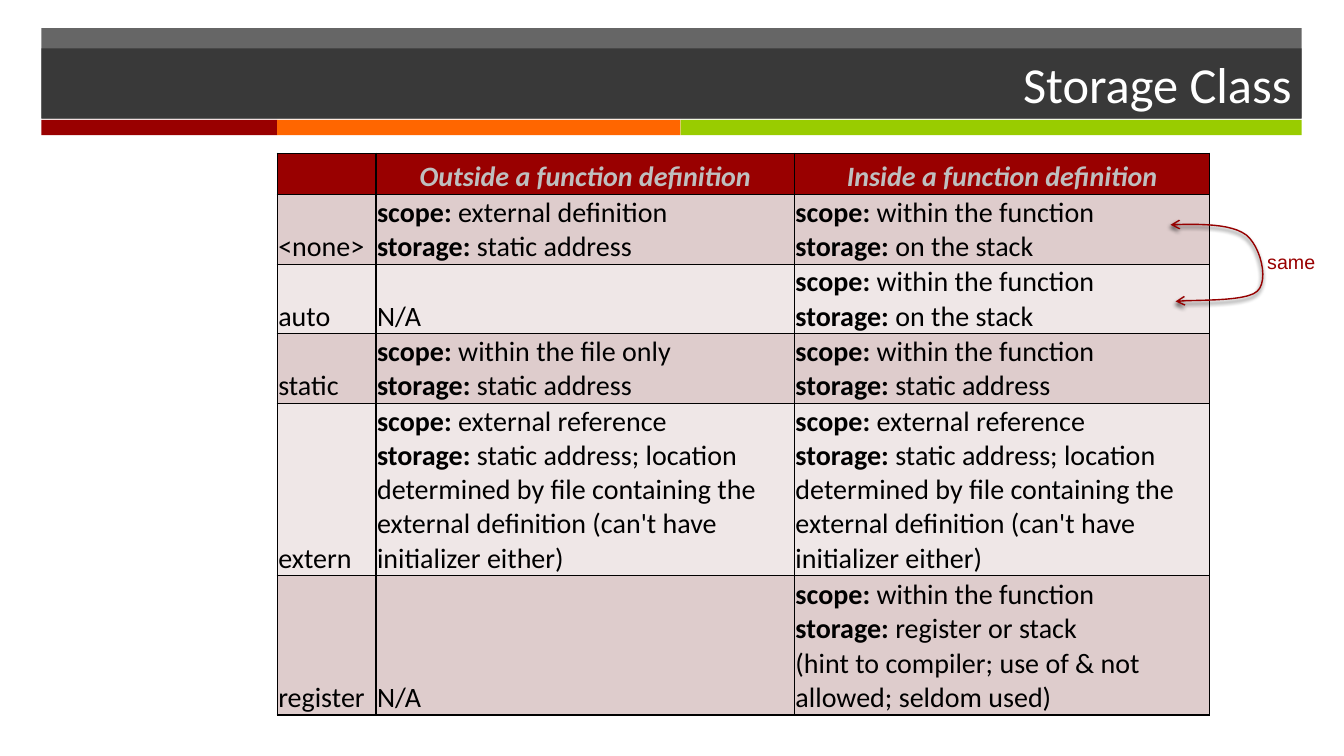
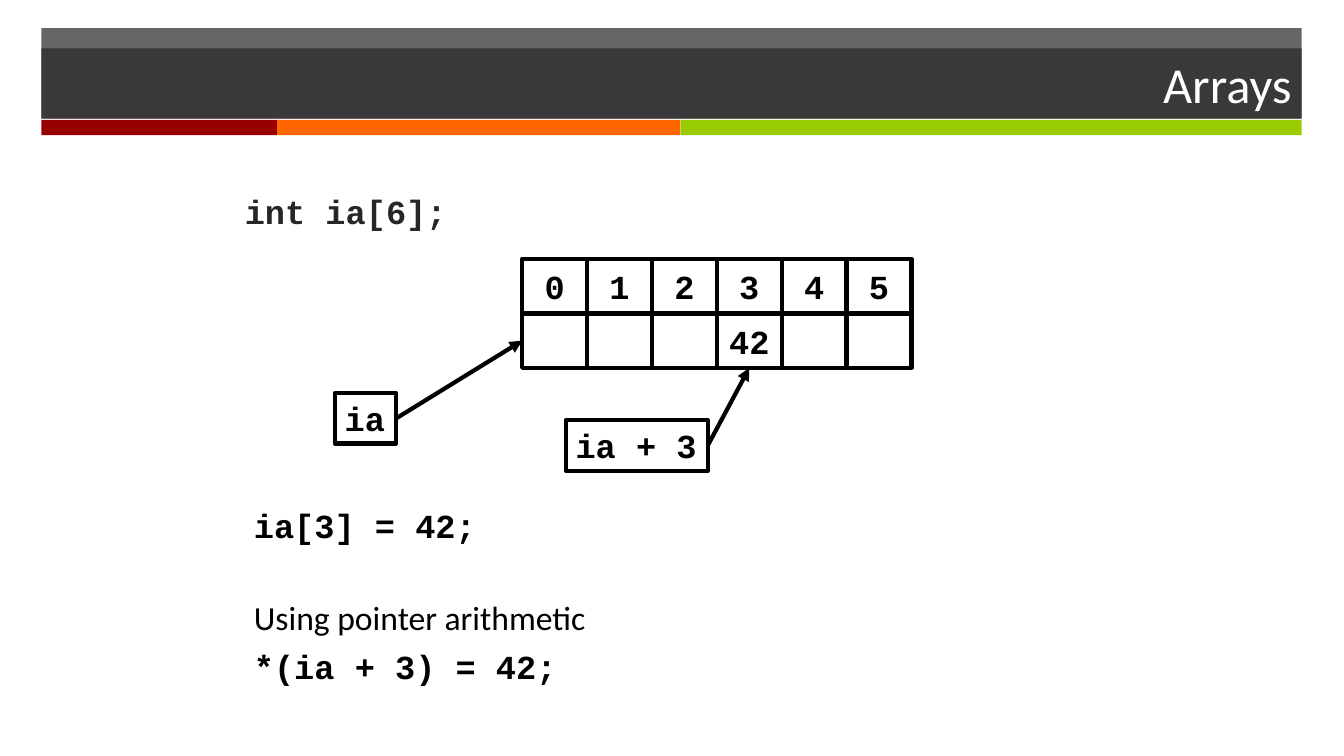
from itertools import accumulate

from lxml.etree import SubElement
from pptx import Presentation
from pptx.dml.color import RGBColor
from pptx.enum.shapes import MSO_CONNECTOR, MSO_SHAPE
from pptx.enum.text import MSO_ANCHOR as ANCHOR, PP_ALIGN as ALIGN
from pptx.oxml.ns import qn
from pptx.util import Inches, Pt

BLACK = "000000"
WHITE = "FFFFFF"
CHARCOAL = "262626"
RED = "990000"
CURVE_RED = "960000"
ORANGE = "FF6600"
GREEN = "99CC00"
SILVER = "BFBFBF"
ROW_FILLS = ("DECCCC", "EFE7E7")
SANS = "Calibri"
MONO = "Courier New"

STORAGE_COLUMNS = (0.98, 4.15, 4.12)
STORAGE_HEIGHTS = (0.41, 0.68, 0.68, 0.68, 1.71, 1.38)
STACK = "scope: within the function\nstorage: on the stack"
EXTERN = (
    "scope: external reference\nstorage: static address; location determined by "
    "file containing the external definition (can't have initializer either)"
)
STORAGE_ROWS = (
    ("", "Outside a function definition", "Inside a function definition"),
    ("<none>", "scope: external definition\nstorage: static address", STACK),
    ("auto", "N/A", STACK),
    (
        "static",
        "scope: within the file only\nstorage: static address",
        "scope: within the function\nstorage: static address",
    ),
    ("extern", EXTERN, EXTERN),
    (
        "register",
        "N/A",
        "scope: within the function\nstorage: register or stack\n"
        "(hint to compiler; use of & not allowed; seldom used)",
    ),
)
SAME_START = (11.61, 2.23)
SAME_CURVES = (
    ((11.91, 2.22), (12.21, 2.22), (12.36, 2.33)),
    ((12.5, 2.44), (12.59, 2.78), (12.47, 2.89)),
    ((12.35, 3), (11.8, 2.97), (11.66, 2.99)),
)


def rgb(code):
    return RGBColor.from_string(code)


def inches(box):
    return [Inches(length) for length in box]


def write(frame, text, size=24, font=SANS, color=BLACK, bold=False, italic=False,
          align=ALIGN.LEFT, anchor=ANCHOR.TOP, wrap=True, before=None, labels=False):
    frame.word_wrap = wrap
    frame.vertical_anchor = anchor
    paragraph = frame.paragraphs[0] if before is None else frame.add_paragraph()
    paragraph.alignment = align
    if before is not None:
        paragraph.space_before = Pt(before)
    for number, line in enumerate(text.split("\n")):
        if number:
            paragraph.add_line_break()
        label, colon, rest = line.partition(":") if labels else ("", "", line)
        parts = ((label + colon, True), (rest, bold)) if colon else ((line, bold),)
        for words, heavy in parts:
            run = paragraph.add_run()
            run.text = words
            run.font.size = Pt(size)
            run.font.name = font
            run.font.bold = heavy
            run.font.italic = italic
            run.font.color.rgb = rgb(color)


def add_text(slide, box, text, **style):
    frame = slide.shapes.add_textbox(*inches(box)).text_frame
    write(frame, text, **style)
    return frame


def add_rect(slide, box, fill=None, opacity=100, line=None):
    rect = slide.shapes.add_shape(MSO_SHAPE.RECTANGLE, *inches(box))
    rect.shadow.inherit = False
    if fill:
        rect.fill.solid()
        rect.fill.fore_color.rgb = rgb(fill)
        if opacity < 100:
            tint = rect.element.spPr.find(qn("a:solidFill"))[0]
            SubElement(tint, qn("a:alpha"), val=str(opacity * 1000))
    else:
        rect.fill.background()
    if line:
        rect.line.color.rgb = rgb(line)
        rect.line.width = Pt(3)
    else:
        rect.line.fill.background()
    return rect


def add_arrowheads(shape, **ends):
    outline = shape.element.spPr.find(qn("a:ln"))
    for end, head in ends.items():
        SubElement(outline, qn("a:" + end), type=head)


def add_header(slide, title, box=(0.41, 0.28, 12.5, 1.06)):
    left, top, width, height = box
    add_rect(slide, (left, top, width, 0.89), CHARCOAL, 70)
    stripes = (2.34, 4, 6.16)
    starts = accumulate(stripes, initial=left)
    for start, stripe, color in zip(starts, stripes, (RED, ORANGE, GREEN)):
        add_rect(slide, (start, top + height - 0.15, stripe, 0.15), color)
    band = add_rect(slide, (left, top + 0.2, width, 0.7), CHARCOAL, 70)
    write(band.text_frame, title, size=36, color=WHITE, align=ALIGN.RIGHT,
          anchor=ANCHOR.MIDDLE)


def style_cell(cell, fill):
    cell.margin_left = cell.margin_right = cell.margin_top = Inches(0.01)
    cell.margin_bottom = 0
    cell.vertical_anchor = ANCHOR.BOTTOM
    properties = cell._tc.get_or_add_tcPr()
    for side in ("lnL", "lnR", "lnT", "lnB"):
        border = SubElement(properties, qn("a:" + side), w=str(Pt(1)))
        SubElement(SubElement(border, qn("a:solidFill")), qn("a:srgbClr"), val=BLACK)
    cell.fill.solid()
    cell.fill.fore_color.rgb = rgb(fill)


def add_storage_table(slide, left, top):
    box = (left, top, sum(STORAGE_COLUMNS), sum(STORAGE_HEIGHTS))
    table = slide.shapes.add_table(
        len(STORAGE_ROWS), len(STORAGE_COLUMNS), *inches(box)).table
    table.horz_banding = False
    for column, width in zip(table.columns, STORAGE_COLUMNS):
        column.width = Inches(width)
    for row, height in zip(table.rows, STORAGE_HEIGHTS):
        row.height = Inches(height)
    header = dict(color=SILVER, bold=True, italic=True, align=ALIGN.CENTER)
    for r, texts in enumerate(STORAGE_ROWS):
        for c, text in enumerate(texts):
            cell = table.cell(r, c)
            style_cell(cell, ROW_FILLS[(r - 1) % 2] if r else RED)
            if text:
                style = dict(labels=True) if r else header
                write(cell.text_frame, text, size=20, anchor=ANCHOR.BOTTOM, **style)


def bezier(points, t):
    weights = ((1 - t) ** 3, 3 * t * (1 - t) ** 2, 3 * t * t * (1 - t), t ** 3)
    return tuple(
        Inches(sum(weight * value for weight, value in zip(weights, axis)))
        for axis in zip(*points))


def add_same_mark(slide, start, curves, steps=12):
    builder = slide.shapes.build_freeform(*inches(start))
    points = []
    for curve in curves:
        points += [bezier((start, *curve), n / steps) for n in range(1, steps + 1)]
        start = curve[-1]
    builder.add_line_segments(points, close=False)
    loop = builder.convert_to_shape()
    loop.fill.background()
    loop.line.color.rgb = rgb(CURVE_RED)
    loop.line.width = Pt(1)
    add_arrowheads(loop, headEnd="arrow", tailEnd="arrow")
    loop.shadow.inherit = False
    shadow = SubElement(
        loop.element.spPr.find(qn("a:effectLst")), qn("a:outerShdw"),
        blurRad=str(Pt(3)), dist=str(Pt(2)), dir=str(110 * 60000), rotWithShape="0")
    tint = SubElement(shadow, qn("a:srgbClr"), val=BLACK)
    SubElement(tint, qn("a:alpha"), val="75000")
    add_text(slide, (12.47, 2.43, 0.81, 0.34), "same", size=14, font="Arial", color=RED)


def add_code_box(slide, box, text="", align=ALIGN.CENTER):
    code_box = add_rect(slide, box, line=BLACK)
    if text:
        write(code_box.text_frame, text, font=MONO, bold=True, align=align,
              anchor=ANCHOR.MIDDLE, wrap=False)
    return code_box


def add_array(slide, box, rows):
    left, top, width, height = box
    cell_width, cell_height = width / len(rows[0]), height / len(rows)
    return [
        [add_code_box(slide, (left + c * cell_width, top + r * cell_height,
                              cell_width, cell_height), text)
         for c, text in enumerate(row)]
        for r, row in enumerate(rows)]


def add_pointer(slide, box, text, target, side):
    pointer = add_code_box(slide, box, text, ALIGN.LEFT)
    arrow = slide.shapes.add_connector(MSO_CONNECTOR.STRAIGHT, 0, 0, 0, 0)
    arrow.begin_connect(pointer, 3)
    arrow.end_connect(target, side)
    arrow.line.color.rgb = rgb(BLACK)
    arrow.line.width = Pt(3)
    add_arrowheads(arrow, tailEnd="triangle")
    SubElement(arrow.element.spPr, qn("a:effectLst"))


def build_storage_slide(slide):
    add_header(slide, "Storage Class")
    add_storage_table(slide, 2.75, 1.52)
    add_same_mark(slide, SAME_START, SAME_CURVES)


def build_arrays_slide(slide):
    add_header(slide, "Arrays")
    code = dict(font=MONO, bold=True)
    add_text(slide, (2.33, 1.84, 9, 0.96), "int ia[6];", color=CHARCOAL, **code)
    values = ("", "", "", "42", "", "")
    cells = add_array(slide, (5.18, 2.57, 3.86, 1.08), ("012345", values))[1]
    add_pointer(slide, (3.32, 3.9, 0.61, 0.5), "ia", cells[0], 1)
    add_pointer(slide, (5.61, 4.17, 1.41, 0.5), "ia + 3", cells[3], 2)
    usage = add_text(slide, (2.42, 4.96, 8.5, 1.95), "ia[3] = 42;", **code)
    write(usage, "Using pointer arithmetic", before=37)
    write(usage, "*(ia + 3) = 42;", before=6, **code)


def main():
    deck = Presentation()
    deck.slide_width, deck.slide_height = Inches(13.33), Inches(7.5)
    for build in (build_storage_slide, build_arrays_slide):
        build(deck.slides.add_slide(deck.slide_layouts[6]))
    deck.save("out.pptx")


if __name__ == "__main__":
    main()
